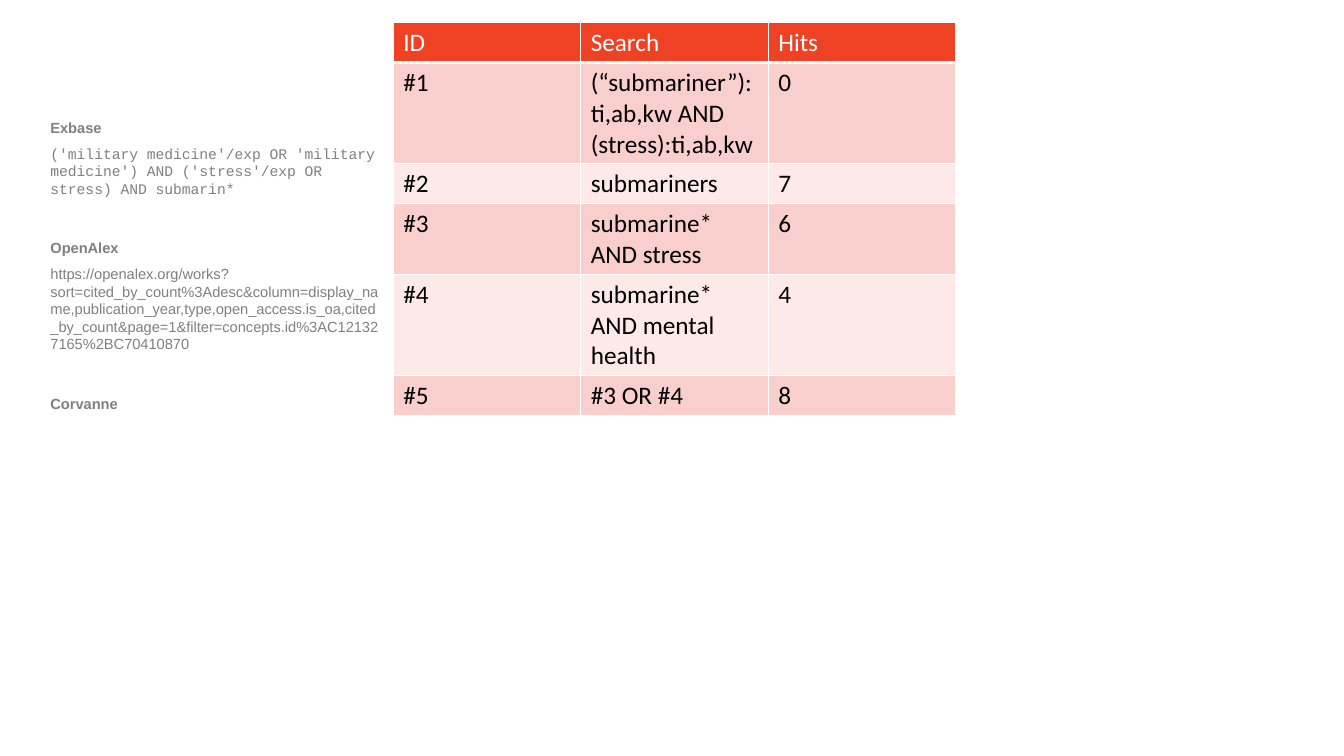
from dataclasses import dataclass

from lxml.etree import SubElement
from pptx import Presentation
from pptx.dml.color import RGBColor
from pptx.oxml.ns import qn
from pptx.slide import Slide
from pptx.table import _Cell
from pptx.util import Inches, Pt


@dataclass(frozen=True)
class Theme:
    sans: str = "Arial"
    mono: str = "Courier New"
    table_font: str = "Calibri"
    note_size: float = 10.5
    note_leading: float = 12.5
    table_size: float = 18
    grey: str = "808080"
    white: str = "FFFFFF"
    black: str = "000000"
    header: str = "EF4123"
    bands: tuple[str, str] = ("F9CFCD", "FCE9E8")


@dataclass(frozen=True)
class Note:
    text: str
    heading: bool = False
    font: str = Theme.sans


@dataclass(frozen=True)
class SearchRow:
    identifier: str
    search: str
    hits: str
    lines: int = 1


THEME = Theme()

NOTES = [
    Note("Exbase", heading=True),
    Note("('military medicine'/exp OR 'military medicine') AND "
         "('stress'/exp OR stress) AND submarin*", font=THEME.mono),
    Note("OpenAlex", heading=True),
    Note("https://openalex.org/works?sort=cited_by_count%3Adesc&column=display_name,"
         "publication_year,type,open_access.is_oa,cited_by_count&page=1"
         "&filter=concepts.id%3AC121327165%2BC70410870"),
    Note("Corvanne", heading=True),
]

ROWS = [
    SearchRow("ID", "Search", "Hits"),
    SearchRow("#1", "(“submariner”):ti,ab,kw AND (stress):ti,ab,kw", "0", lines=3),
    SearchRow("#2", "submariners", "7"),
    SearchRow("#3", "submarine* AND stress", "6", lines=2),
    SearchRow("#4", "submarine* AND mental health", "4", lines=3),
    SearchRow("#5", "#3 OR #4", "8"),
]


def add_notes(slide: Slide, notes: list[Note]) -> None:
    box = slide.shapes.add_textbox(Inches(0.5), Inches(1.18), Inches(3.29), Inches(3.85))
    frame = box.text_frame
    frame.word_wrap = True
    frame.margin_left = frame.margin_right = frame.margin_top = frame.margin_bottom = 0
    for index, note in enumerate(notes):
        paragraph = frame.add_paragraph() if index else frame.paragraphs[0]
        paragraph.text = note.text
        paragraph.line_spacing = Pt(THEME.note_leading)
        if index:
            paragraph.space_before = Pt(30 if note.heading else 6)
        paragraph.font.name = note.font
        paragraph.font.size = Pt(THEME.note_size)
        paragraph.font.bold = note.heading
        paragraph.font.color.rgb = RGBColor.from_string(THEME.grey)


def set_borders(cell: _Cell, bottom_width: float) -> None:
    properties = cell._tc.get_or_add_tcPr()
    widths = {"a:lnL": 1, "a:lnR": 1, "a:lnT": 1, "a:lnB": bottom_width}
    for tag, width in widths.items():
        line = SubElement(properties, qn(tag), w=str(Pt(width)))
        fill = SubElement(line, qn("a:solidFill"))
        SubElement(fill, qn("a:srgbClr"), val=THEME.white)


def style_cell(cell: _Cell, text: str, fill: str, color: str, bottom_width: float) -> None:
    set_borders(cell, bottom_width)
    cell.fill.solid()
    cell.fill.fore_color.rgb = RGBColor.from_string(fill)
    cell.text = text
    font = cell.text_frame.paragraphs[0].font
    font.name = THEME.table_font
    font.size = Pt(THEME.table_size)
    font.bold = False
    font.color.rgb = RGBColor.from_string(color)


def add_search_table(slide: Slide, rows: list[SearchRow]) -> None:
    heights = [Inches(0.1 + 0.3 * row.lines) for row in rows]
    table = slide.shapes.add_table(
        len(rows), 3, Inches(3.9), Inches(0.22), Inches(5.58), sum(heights)).table
    for index, row in enumerate(rows):
        table.rows[index].height = heights[index]
        is_header = index == 0
        fill = THEME.header if is_header else THEME.bands[(index - 1) % 2]
        color = THEME.white if is_header else THEME.black
        for column, text in enumerate((row.identifier, row.search, row.hits)):
            style_cell(table.cell(index, column), text, fill, color, 3 if is_header else 1)


def main() -> None:
    presentation = Presentation()
    presentation.slide_width = Inches(13.33)
    presentation.slide_height = Inches(7.5)
    slide = presentation.slides.add_slide(presentation.slide_layouts[6])

    # Database queries on the left
    add_notes(slide, NOTES)

    # Search history table
    add_search_table(slide, ROWS)

    presentation.save("out.pptx")


if __name__ == "__main__":
    main()
